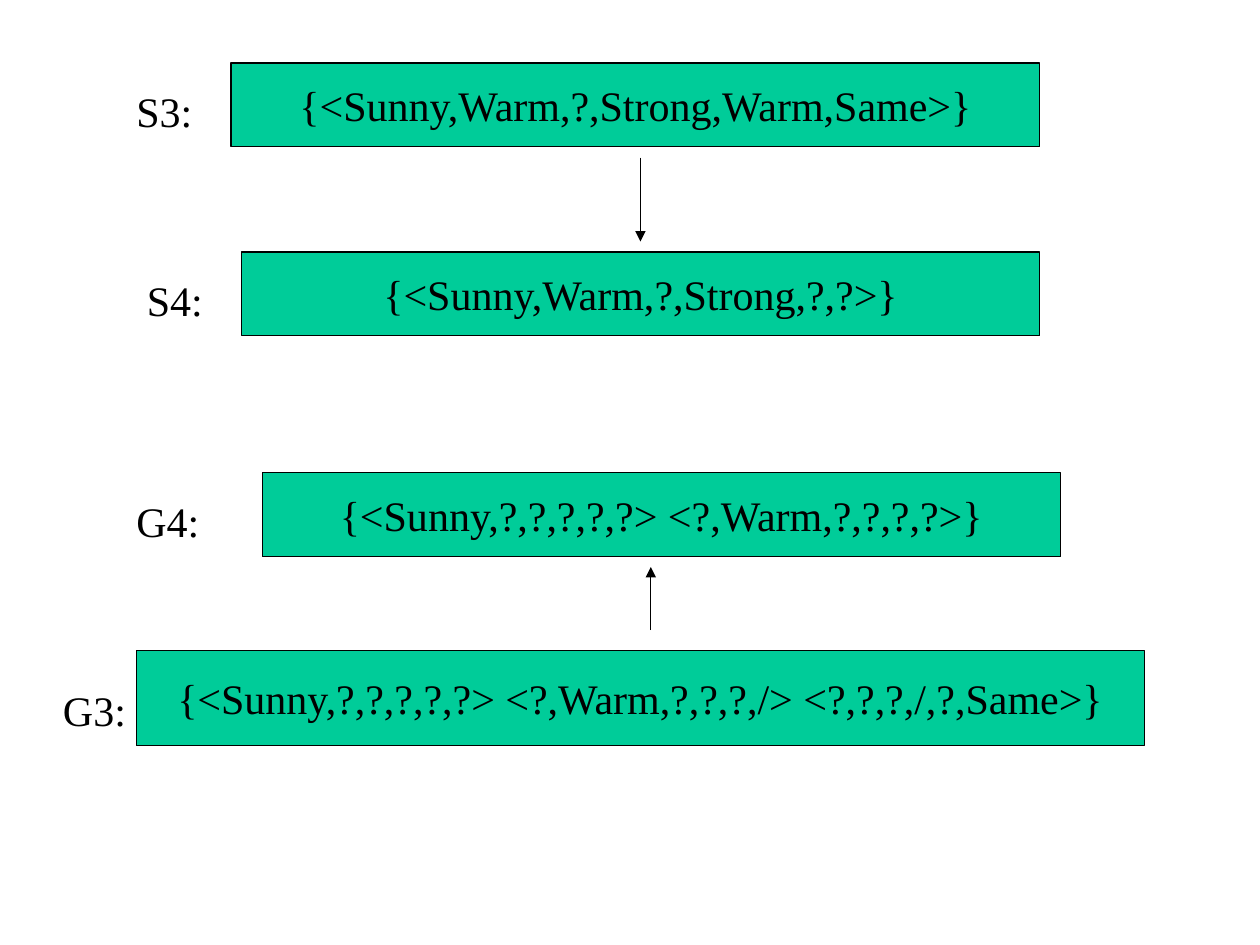
from lxml import etree
from pptx import Presentation
from pptx import util as u
from pptx.dml import color
from pptx.enum import shapes, text
from pptx.oxml import ns

BLACK = "000000"
GREEN = "00CC99"
FONT = {"name": "Times New Roman", "size": u.Pt(24)}
LABEL_HEIGHT = 1.27


def rgb(value):
    return color.RGBColor.from_string(value)


def apply_format(target, values):
    for name, value in values.items():
        setattr(target, name, value)


def write_text(shape, content, anchor, alignment):
    frame = shape.text_frame
    apply_format(frame, {
        "word_wrap": False, "vertical_anchor": anchor,
        "margin_left": u.Cm(0.25), "margin_right": u.Cm(0.25),
        "margin_top": u.Cm(0.13), "margin_bottom": u.Cm(0.13),
    })
    paragraph = frame.paragraphs[0]
    paragraph.alignment = alignment
    run = paragraph.add_run()
    run.text = content
    apply_format(run.font, FONT)
    run.font.color.rgb = rgb(BLACK)


def set_line(shape):
    shape.line.color.rgb = rgb(BLACK)
    shape.line.width = u.Pt(0.75)


def add_boundary(slide, box, name, hypotheses, label_offset, label_width):
    left, top, width, height = box
    shape = slide.shapes.add_shape(
        shapes.MSO_SHAPE.FLOWCHART_PROCESS, *map(u.Cm, box))
    shape.shadow.inherit = False
    shape.fill.solid()
    shape.fill.fore_color.rgb = rgb(GREEN)
    set_line(shape)
    write_text(shape, hypotheses, text.MSO_ANCHOR.MIDDLE, text.PP_ALIGN.CENTER)

    across, down = label_offset
    label = slide.shapes.add_textbox(
        u.Cm(left + across), u.Cm(top + down), u.Cm(label_width), u.Cm(LABEL_HEIGHT))
    write_text(label, name, text.MSO_ANCHOR.TOP, text.PP_ALIGN.LEFT)
    label.text_frame.auto_size = text.MSO_AUTO_SIZE.SHAPE_TO_FIT_TEXT


def add_arrow(slide, x, start, end):
    arrow = slide.shapes.add_connector(
        shapes.MSO_CONNECTOR.STRAIGHT, u.Cm(x), u.Cm(start), u.Cm(x), u.Cm(end))
    set_line(arrow)
    etree.SubElement(arrow.line._get_or_add_ln(), ns.qn("a:tailEnd"), type="triangle")
    etree.SubElement(arrow._element.spPr, ns.qn("a:effectLst"))


def main():
    presentation = Presentation()
    presentation.slide_width = u.Cm(25.4)
    presentation.slide_height = u.Cm(19.05)
    slide = presentation.slides.add_slide(presentation.slide_layouts[6])

    boundaries = [
        ((4.66, 1.27, 16.3, 1.69), "S3:",
         "{<Sunny,Warm,?,Strong,Warm,Same>}", (-2.16, 0.33), 1.63),
        ((4.87, 5.08, 16.09, 1.69), "S4:",
         "{<Sunny,Warm,?,Strong,?,?>}", (-2.16, 0.33), 1.63),
        ((5.29, 9.53, 16.09, 1.69), "G4:",
         "{<Sunny,?,?,?,?,?> <?,Warm,?,?,?,?>}", (-2.79, 0.33), 1.77),
        ((2.75, 13.12, 20.32, 1.91), "G3:",
         "{<Sunny,?,?,?,?,?> <?,Warm,?,?,?,/> <?,?,?,/,?,Same>}", (-1.73, 0.55), 1.77),
    ]
    for boundary in boundaries:
        add_boundary(slide, *boundary)

    add_arrow(slide, 12.91, 3.18, 4.87)
    add_arrow(slide, 13.12, 12.7, 11.43)
    presentation.save("out.pptx")


if __name__ == "__main__":
    main()
